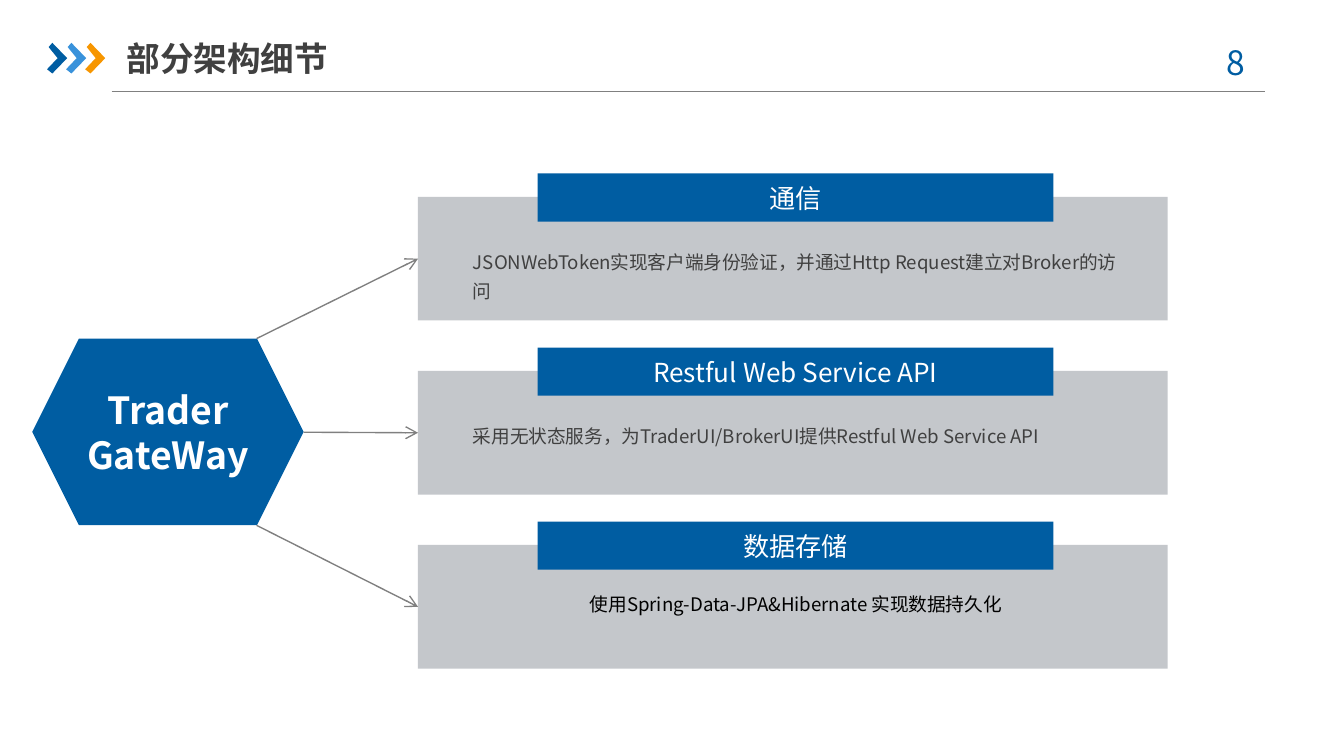
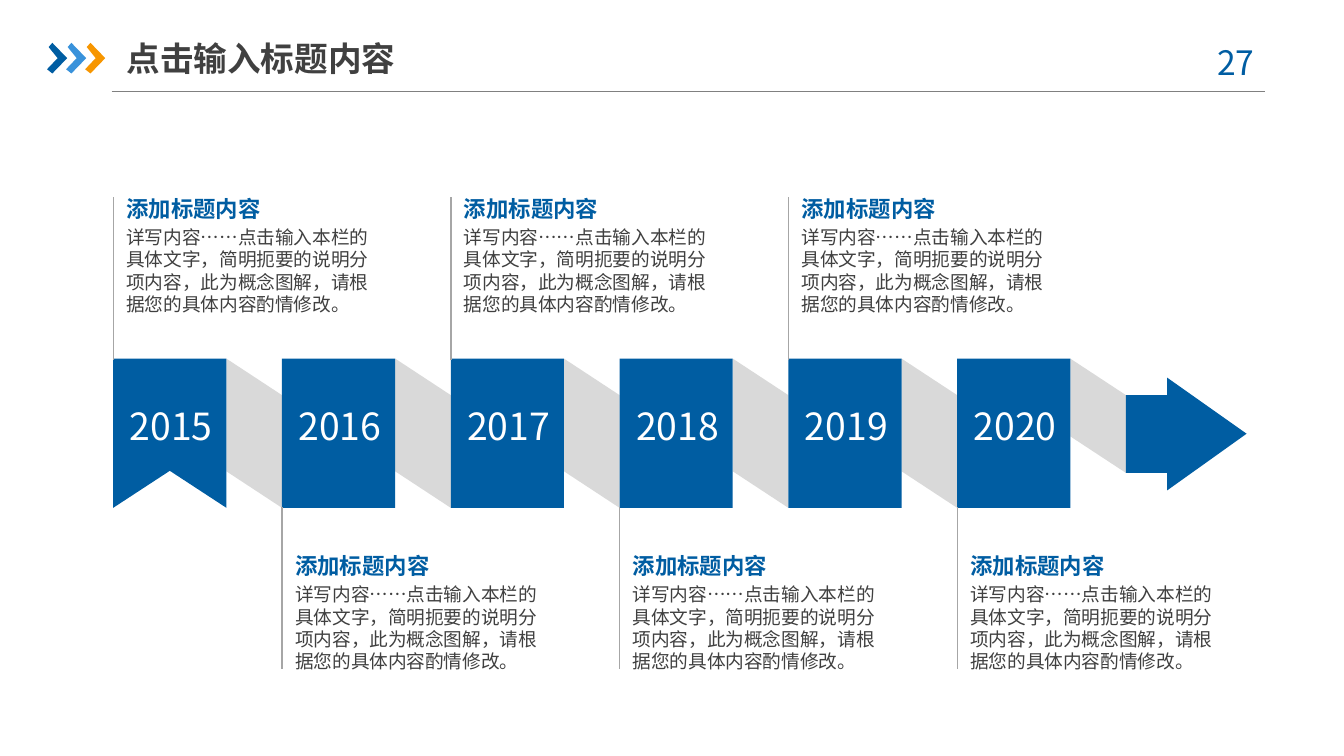
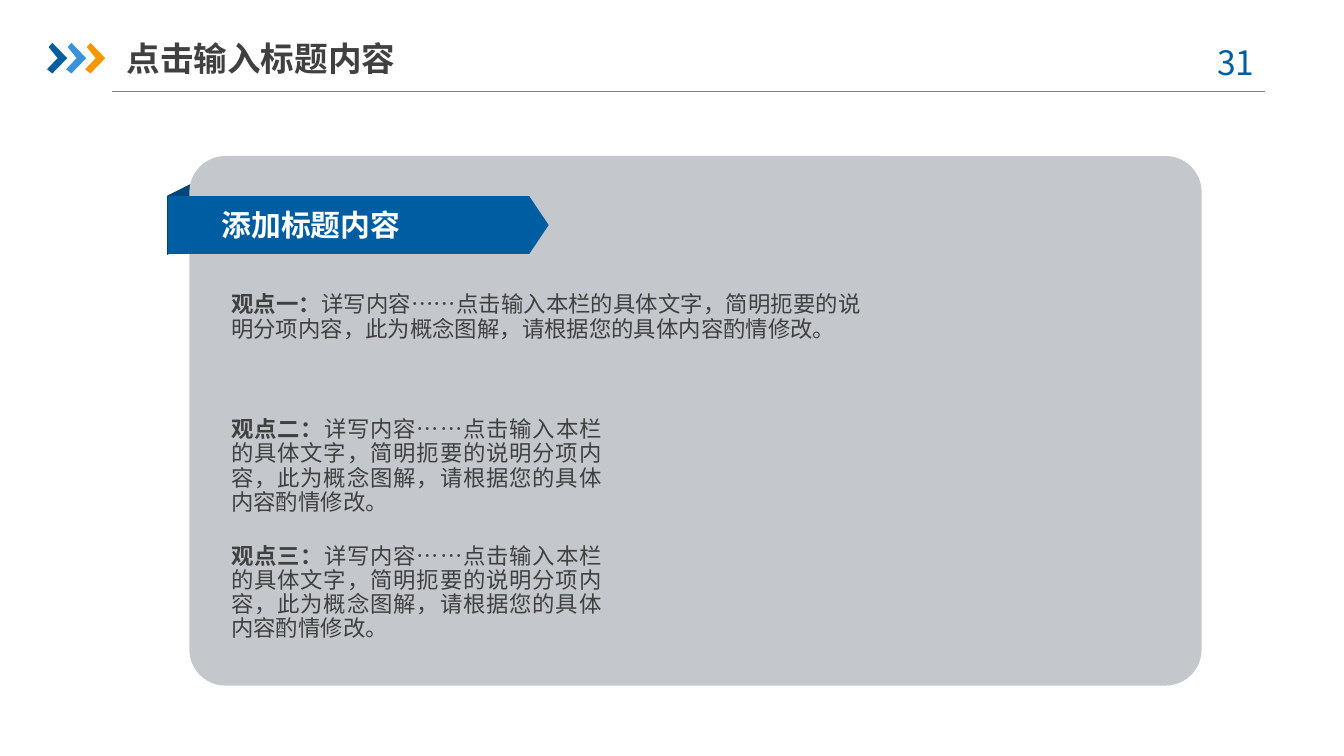
import lxml.etree
import pptx
import pptx.dml.color
import pptx.enum.shapes
import pptx.enum.text
import pptx.oxml.ns
import pptx.util

Cm = pptx.util.Cm
Pt = pptx.util.Pt
qn = pptx.oxml.ns.qn
SHAPE = pptx.enum.shapes.MSO_SHAPE
ALIGN = pptx.enum.text.PP_ALIGN
ANCHOR = pptx.enum.text.MSO_ANCHOR

FONT = "Noto Sans CJK SC"
COLORS = {
    "blue": "005DA2",
    "sky": "3992DB",
    "orange": "F79600",
    "navy": "00467A",
    "panel": "C4C7CB",
    "fold": "D9D9D9",
    "rule": "808080",
    "stem": "A6A6A6",
    "ink": "404040",
    "black": "000000",
    "white": "FFFFFF",
}
SNUG = (0.2, 0.1)
FLUSH = (0, 0)

HEADING = "添加标题内容"
DETAIL = ("详写内容……点击输入本栏的具体文字，简明扼要的说明分项内容，"
          "此为概念图解，请根据您的具体内容酌情修改。")


def rgb(name):
    return pptx.dml.color.RGBColor.from_string(COLORS[name])


class Deck:
    """Holds the shared style and the slide being drawn; lengths are in cm."""

    def __init__(self):
        self.show = pptx.Presentation()
        self.show.slide_width, self.show.slide_height = Cm(25.4), Cm(14.29)
        self.shapes = None

    def new_slide(self, title, number):
        self.shapes = self.show.slides.add_slide(self.show.slide_layouts[6]).shapes
        self.line((2.11, 1.73), (23.9, 1.73), "rule")
        chevron = [(0.03, 0.89), (0.1, 0.81), (0.38, 1.1),
                   (0.1, 1.39), (0, 1.31), (0.2, 1.1)]
        for i, color in enumerate(("blue", "sky", "orange")):
            self.outline(chevron, color, left=0.89 + 0.36 * i)
        self.text((22.5, 0.66, 1.85, 1.02), [[(f"{number} ", 18, "blue", False)]],
                  align=ALIGN.CENTER)
        self.text((2.39, 0.56, 5.92, 1.07), [[(title, 18, "ink", True)]],
                  anchor=ANCHOR.MIDDLE, inset=(0, 0.13))

    def paint(self, shape, color):
        shape.shadow.inherit = False
        shape.fill.solid()
        shape.fill.fore_color.rgb = rgb(color)
        shape.line.fill.background()
        return shape

    def block(self, kind, place, color, adjust=None):
        shape = self.paint(self.shapes.add_shape(kind, *map(Cm, place)), color)
        if adjust is not None:
            shape.adjustments[0] = adjust
        return shape

    def outline(self, points, color, left=0, top=0):
        start, *rest = [(Cm(left + x), Cm(top + y)) for x, y in points]
        builder = self.shapes.build_freeform(*start, scale=1.0)
        builder.add_line_segments(rest, close=True)
        return self.paint(builder.convert_to_shape(), color)

    def line(self, start, end, color, arrow=False):
        connector = self.shapes.add_connector(
            pptx.enum.shapes.MSO_CONNECTOR.STRAIGHT, *map(Cm, start + end))
        connector.line.color.rgb = rgb(color)
        connector.line.width = Pt(0.75)
        properties = connector._element.spPr
        if arrow:
            lxml.etree.SubElement(properties.find(qn("a:ln")), qn("a:tailEnd"), type="arrow")
        lxml.etree.SubElement(properties, qn("a:effectLst"))

    def text(self, place, paragraphs, **style):
        self.label(self.shapes.add_textbox(*map(Cm, place)), paragraphs, **style)

    def label(self, shape, paragraphs, align=ALIGN.LEFT, anchor=ANCHOR.TOP,
              inset=(0.25, 0.13), spacing=None, gap=0):
        """Each paragraph is a list of (text, size, color, bold) runs."""
        frame = shape.text_frame
        frame.word_wrap = True
        frame.vertical_anchor = anchor
        frame.margin_left = frame.margin_right = Cm(inset[0])
        frame.margin_top = frame.margin_bottom = Cm(inset[1])
        for i, runs in enumerate(paragraphs):
            paragraph = frame.add_paragraph() if i else frame.paragraphs[0]
            paragraph.alignment = align
            if spacing:
                paragraph.line_spacing = spacing
            if i and gap:
                paragraph.space_before = Pt(gap)
            for words, size, color, bold in runs:
                run = paragraph.add_run()
                run.text = words
                run.font.size, run.font.bold = Pt(size), bold
                run.font.color.rgb = rgb(color)
                run.font.name = FONT
                lxml.etree.SubElement(run.font._element, qn("a:ea"), typeface=FONT)


def gateway_slide(deck):
    deck.new_slide("部分架构细节", 8)
    centred = dict(align=ALIGN.CENTER, anchor=ANCHOR.MIDDLE, inset=SNUG)
    hexagon = deck.block(SHAPE.HEXAGON, (0.61, 6.4, 5.13, 3.53), "blue")
    deck.label(hexagon, [[("Trader", 20, "white", True)],
                         [("GateWay", 20, "white", True)]], **centred)

    plain = dict(spacing=1.3)
    details = [
        ("通信", "JSONWebToken实现客户端身份验证，并通过Http Request建立对Broker的访问",
         1.3, "ink", plain),
        ("Restful Web Service API",
         "采用无状态服务，为TraderUI/BrokerUI提供Restful Web Service API",
         0.74, "ink", plain),
        ("数据存储", "使用Spring-Data-JPA&Hibernate 实现数据持久化",
         0.61, "black", dict(align=ALIGN.CENTER)),
    ]
    arrow_starts = [(4.85, 6.4), (5.74, 8.17), (4.85, 9.93)]
    for i, (name, detail, height, color, style) in enumerate(details):
        top = 3.72 + 3.29 * i
        deck.block(SHAPE.RECTANGLE, (7.9, top, 14.17, 2.34), "panel")
        banner = deck.block(SHAPE.RECTANGLE, (10.16, top - 0.44, 9.75, 0.91), "blue")
        deck.label(banner, [[(name, 14, "white", False)]], **centred)
        deck.text((8.74, top + 0.8, 12.6, height), [[(detail, 10, color, False)]],
                  inset=SNUG, **style)
        deck.line(arrow_starts[i], (7.9, top + 1.17), "rule", arrow=True)


def timeline_slide(deck):
    deck.new_slide("点击输入标题内容", 27)
    left, pitch, width, top, height = 2.14, 3.19, 2.14, 6.78, 2.82
    years = range(2015, 2021)
    gap = pitch - width
    for i, year in enumerate(years):
        x = left + pitch * i
        last = i == len(years) - 1
        inner, outer = (1.47, 2.16) if last else (2.13, height)
        deck.outline([(0, 0), (gap, 0.69), (gap, outer), (0, inner)],
                     "fold", x + width, top)
        if i == 0:
            deck.outline([(0, 0), (width, 0), (width, height),
                          (width / 2, 2.12), (0, height)], "blue", x, top)
        else:
            deck.block(SHAPE.RECTANGLE, (x, top, width, height), "blue")
        deck.text((x - 0.24, 7.11, 2.67, 1.88), [[(str(year), 20, "white", False)]],
                  align=ALIGN.CENTER, anchor=ANCHOR.MIDDLE)

        note_top, stem_top = (10.31, 9.58) if i % 2 else (3.56, 3.73)
        deck.text((x, note_top, 5.33, 2.59),
                  [[(HEADING, 12, "blue", True)], [(DETAIL, 10, "ink", False)]], gap=2)
        deck.line((x, stem_top), (x, stem_top + 3.07), "stem")
    deck.outline([(0, 0.69), (0.78, 0.69), (0.78, 0.36), (2.28, 1.42),
                  (0.78, 2.49), (0.78, 2.16), (0, 2.16)],
                 "blue", left + pitch * len(years), top)


def viewpoints_slide(deck):
    deck.new_slide("点击输入标题内容", 31)
    ribbon_fold = deck.block(SHAPE.FLOWCHART_DATA, (2.74, 3.84, 1.4, 0.56), "navy")
    ribbon_fold.rotation = 270
    ribbon_fold._element.spPr.find(qn("a:xfrm")).set("flipH", "1")
    deck.block(SHAPE.ROUNDED_RECTANGLE, (3.58, 2.95, 19.13, 10.01), "panel", 0.068)
    deck.block(SHAPE.PENTAGON, (3.18, 3.71, 7.19, 1.09), "blue", 0.335)
    deck.text((4.19, 3.91, 4.72, 0.69), [[(HEADING, 16, "white", True)]], inset=FLUSH)
    viewpoints = [("观点一：", 5.54, 11.91, 0.91),
                  ("观点二：", 7.9, 7.01, 1.85),
                  ("观点三：", 10.29, 7.01, 1.85)]
    for name, top, width, height in viewpoints:
        deck.text((4.37, top, width, height),
                  [[(name, 12, "ink", True), (DETAIL, 12, "ink", False)]],
                  align=ALIGN.JUSTIFY, inset=FLUSH, spacing=Pt(13))


def main():
    deck = Deck()
    gateway_slide(deck)
    timeline_slide(deck)
    viewpoints_slide(deck)
    deck.show.save("out.pptx")


if __name__ == "__main__":
    main()
